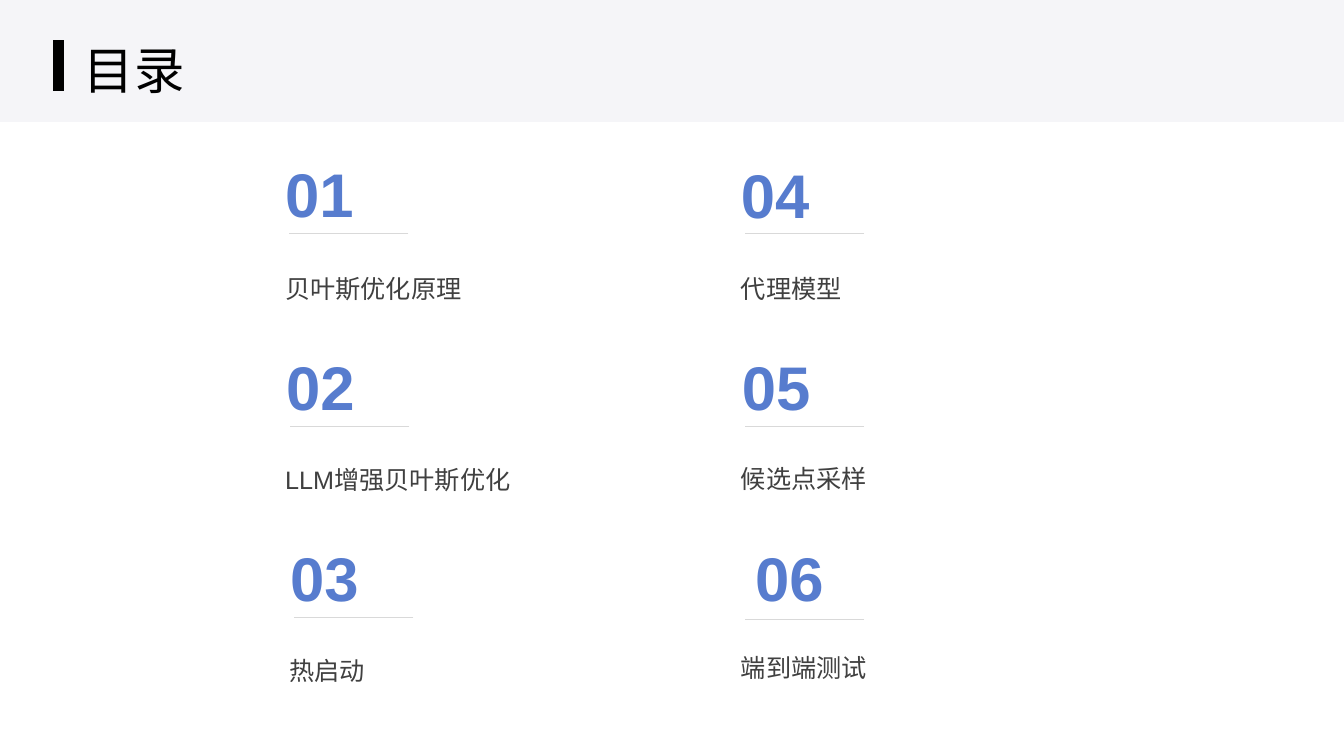
from lxml import etree
from pptx import Presentation
from pptx.dml.color import RGBColor
from pptx.enum.shapes import MSO_CONNECTOR, MSO_SHAPE
from pptx.enum.text import MSO_ANCHOR, MSO_AUTO_SIZE, PP_ALIGN
from pptx.oxml.ns import qn
from pptx.util import Inches, Pt

STRAIGHT = MSO_CONNECTOR.STRAIGHT
RECTANGLE = MSO_SHAPE.RECTANGLE
MIDDLE = MSO_ANCHOR.MIDDLE
NO_AUTOFIT = MSO_AUTO_SIZE.NONE
LEFT, JUSTIFY = PP_ALIGN.LEFT, PP_ALIGN.JUSTIFY
CJK_FONT = "Noto Sans CJK SC"


def style_text(p, text, size, color, font="Arial", bold=False):
    p.text = text
    r = p.runs[0]
    r.font.size = Pt(size)
    r.font.name = font
    r.font.bold = bold
    r.font.color.rgb = RGBColor.from_string(color)
    ea = etree.SubElement(r.font._element, qn("a:ea"))
    ea.set("typeface", CJK_FONT)


def add_line(x1, y1, x2, y2, color, width):
    line = s.shapes.add_connector(STRAIGHT, Inches(x1), Inches(y1), Inches(x2), Inches(y2))
    line.line.color.rgb = RGBColor.from_string(color)
    line.line.width = Pt(width)
    etree.SubElement(line._element.spPr, qn("a:effectLst"))


prs = Presentation()
prs.slide_width, prs.slide_height = Inches(13.33), Inches(7.5)
s = prs.slides.add_slide(prs.slide_layouts[5])

# Title
title = s.shapes.title
title.left, title.top = Inches(0.83), Inches(0.27)
title.width, title.height = Inches(12), Inches(0.83)
tf = title.text_frame
tf.margin_left = tf.margin_right = tf.margin_top = tf.margin_bottom = 0
tf.vertical_anchor = MIDDLE
tf.auto_size = NO_AUTOFIT
style_text(tf.paragraphs[0], "目录", 36, "000000", CJK_FONT)
tf.paragraphs[0].alignment = LEFT

# Header band behind the title, with its black bar
band = s.shapes.add_shape(RECTANGLE, 0, 0, prs.slide_width, Inches(1.21))
band.shadow.inherit = False
band.fill.solid()
band.fill.fore_color.rgb = RGBColor.from_string("F5F5F8")
band.line.fill.background()
title._element.addprevious(band._element)
add_line(0.58, 0.4, 0.58, 0.9, "000000", 8)

# Agenda: label, then (left, top) of number and label, then (left, y) of rule
agenda = [
    ("贝叶斯优化原理", (2.73, 1.5), (2.73, 2.51), (2.87, 2.32)),
    ("LLM增强贝叶斯优化", (2.74, 3.41), (2.73, 4.41), (2.88, 4.23)),
    ("热启动", (2.78, 5.31), (2.77, 6.3), (2.92, 6.12)),
    ("代理模型", (7.25, 1.51), (7.25, 2.51), (7.39, 2.32)),
    ("候选点采样", (7.26, 3.41), (7.25, 4.4), (7.39, 4.23)),
    ("端到端测试", (7.39, 5.31), (7.25, 6.27), (7.39, 6.14)),
]
for i, (label, number_at, label_at, (rule_x, rule_y)) in enumerate(agenda, 1):
    x, y = label_at
    tf = s.shapes.add_textbox(Inches(x), Inches(y), Inches(3.54), Inches(0.67)).text_frame
    tf.word_wrap = True
    p = tf.paragraphs[0]
    style_text(p, label, 18, "404040")
    p.alignment = JUSTIFY
    p.line_spacing = 1.5
    p.space_after = Pt(20)

    x, y = number_at
    tf = s.shapes.add_textbox(Inches(x), Inches(y), Inches(0.89), Inches(0.84)).text_frame
    style_text(tf.paragraphs[0], f"{i:02d}", 44, "577CCE", bold=True)

    add_line(rule_x + 1.18, rule_y, rule_x, rule_y, "D9D9D9", 0.5)

prs.save("out.pptx")
